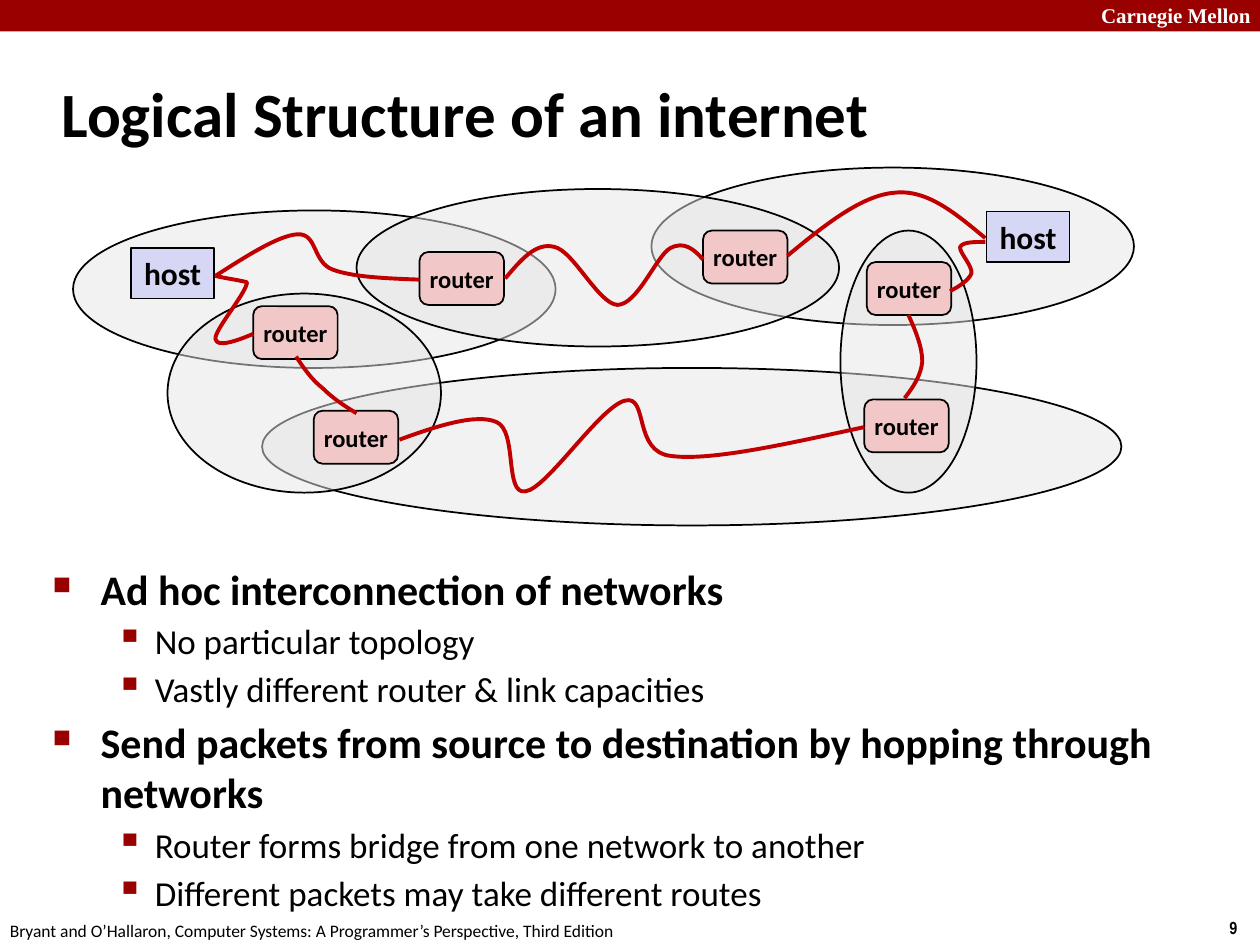
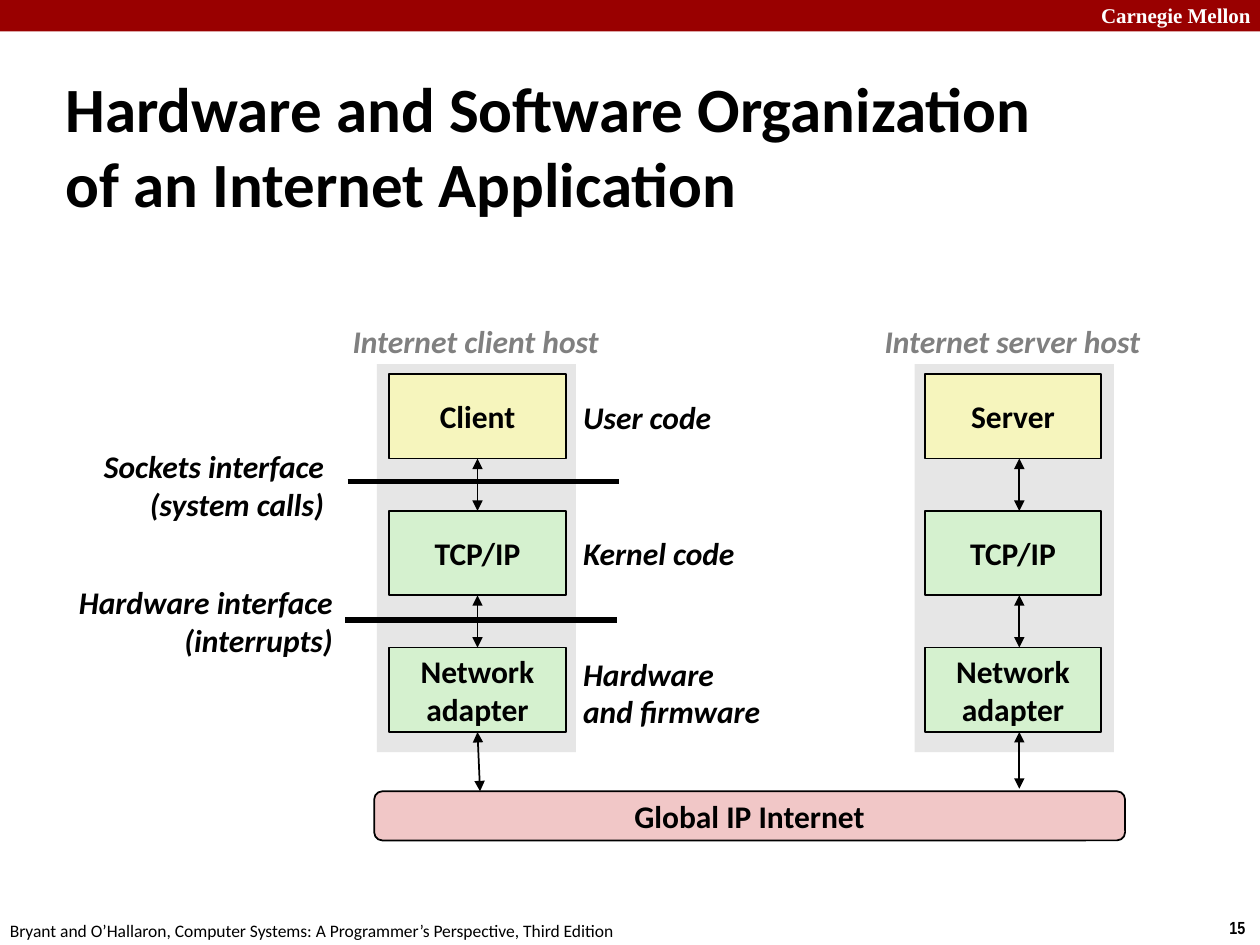
from lxml.etree import SubElement
from pptx import Presentation
from pptx.dml.color import RGBColor
from pptx.enum.shapes import MSO_CONNECTOR, MSO_SHAPE
from pptx.enum.text import MSO_ANCHOR, PP_ALIGN
from pptx.oxml.ns import qn
from pptx.util import Inches, Pt

COLORS = {
    "black": "000000", "white": "FFFFFF", "band": "990000", "gray": "E6E6E6",
    "caption": "808080", "router": "F1C7C7", "host": "D6D6F5", "route": "C00000",
    "user": "F6F5BD", "kernel": "D5F1CF",
}

# Shared content
SCHOOL = "Carnegie Mellon"
FOOTER = ("Bryant and O’Hallaron, Computer Systems: "
          "A Programmer’s Perspective, Third Edition")

# Slide 1: networks, stations, routes and bullet points
NETWORKS = [
    (0.58, 1.67, 3.83, 1.25), (2.08, 2.92, 6.82, 1.25), (5.17, 1.33, 3.83, 1.25),
    (2.83, 1.5, 3.83, 1.25), (1.33, 2.33, 2.17, 1.58), (6.67, 1.83, 1.08, 2.08),
]
ROUTERS = [(2.01, 2.43), (2.49, 3.26), (3.33, 2), (5.58, 1.83), (6.86, 3.17), (6.88, 2.08)]
HOSTS = [(7.83, 1.68), (1.04, 1.97)]
# Each route is a start point followed by curves of two handles and an end point
ROUTES = [
    [(1.71, 2.19), (1.79, 2.21), (1.88, 2.22), (1.96, 2.24),
     (1.96, 2.32), (1.7, 2.62), (1.71, 2.69), (1.72, 2.76), (1.87, 2.71), (2.01, 2.65)],
    [(1.71, 2.19), (1.96, 2.03), (2.21, 1.87), (2.36, 1.86),
     (2.52, 1.85), (2.48, 2.08), (2.64, 2.14), (2.8, 2.2), (3.07, 2.21), (3.33, 2.22)],
    [(2.35, 2.83), (2.41, 2.92), (2.47, 3.01), (2.56, 3.08),
     (2.64, 3.16), (2.73, 3.22), (2.83, 3.28)],
    [(4.01, 2.21), (4.13, 2.07), (4.25, 1.92), (4.4, 1.96),
     (4.55, 1.99), (4.75, 2.41), (4.9, 2.42), (5.06, 2.42), (5.21, 2.03), (5.32, 1.97),
     (5.43, 1.91), (5.51, 1.98), (5.58, 2.06)],
    [(6.25, 2.03), (6.54, 1.79), (6.84, 1.55), (7.1, 1.53),
     (7.36, 1.5), (7.59, 1.7), (7.82, 1.89)],
    [(3.17, 3.49), (3.47, 3.38), (3.78, 3.28), (3.94, 3.35),
     (4.11, 3.42), (4, 3.93), (4.17, 3.9), (4.34, 3.88), (4.76, 3.23), (4.96, 3.18),
     (5.15, 3.13), (5.02, 3.59), (5.33, 3.62), (5.65, 3.66), (6.26, 3.52), (6.86, 3.39)],
    [(7.18, 3.16), (7.25, 3.07), (7.31, 2.98), (7.32, 2.87),
     (7.32, 2.76), (7.27, 2.63), (7.21, 2.5)],
    [(7.54, 2.31), (7.62, 2.27), (7.69, 2.22), (7.71, 2.17),
     (7.72, 2.11), (7.61, 2), (7.62, 1.96), (7.64, 1.92), (7.73, 1.92), (7.82, 1.92)],
]
POINTS = [
    (0, "Ad hoc interconnection of networks"),
    (1, "No particular topology"),
    (1, "Vastly different router & link capacities"),
    (0, "Send packets from source to destination by hopping through networks"),
    (1, "Router forms bridge from one network to another"),
    (1, "Different packets may take different routes"),
]
LEVELS = [
    {"size": 24, "bold": True, "left": 0.38, "hang": 0.38, "mark": "■", "percent": 60},
    {"size": 20, "bold": False, "left": 0.81, "hang": 0.31, "mark": "▪", "percent": 110},
]

# Slide 2: one stack of layers per host, with labels beside the first
STACKS = [
    {"program": "Client", "panel": 2.99, "box": 3.09, "arrow": 3.8, "joined": True,
     "foot": (3.81, 6.28)},
    {"program": "Server", "panel": 7.26, "box": 7.34, "arrow": 8.09, "joined": False,
     "foot": (8.09, 6.26)},
]
LAYERS = [(None, "user"), ("TCP/IP", "kernel"), ("Network\nadapter", "kernel")]
LAYER_TOP, LAYER_STEP, LAYER_WIDTH, LAYER_HEIGHT = 2.97, 1.085, 1.4, 0.67
LABELS = [
    ((2.68, 2.51, 2.19, 0.4), "Internet client host", PP_ALIGN.CENTER, "caption"),
    ((6.9, 2.51, 2.27, 0.4), "Internet server host", PP_ALIGN.CENTER, "caption"),
    ((0.7, 3.49, 1.97, 0.71), "Sockets interface\n(system calls)", PP_ALIGN.RIGHT, "black"),
    ((0.5, 4.57, 2.24, 0.71), "Hardware interface\n(interrupts)", PP_ALIGN.RIGHT, "black"),
    ((4.53, 3.11, 1.23, 0.4), "User code", PP_ALIGN.LEFT, "black"),
    ((4.53, 4.19, 1.42, 0.4), "Kernel code", PP_ALIGN.LEFT, "black"),
    ((4.53, 5.14, 1.63, 0.71), "Hardware\nand firmware", PP_ALIGN.LEFT, "black"),
]
INTERFACES = [((2.76, 3.82), (4.91, 3.82)), ((2.74, 4.92), (4.9, 4.92))]


def rgb(name):
    return RGBColor.from_string(COLORS[name])


def inches(values):
    return [Inches(value) for value in values]


# Text
def write_text(box, text, size=18, font="Calibri", color="black", bold=True, italic=False,
               align=PP_ALIGN.LEFT, anchor=MSO_ANCHOR.MIDDLE, wrap=False):
    frame = box.text_frame
    frame.word_wrap = wrap
    frame.vertical_anchor = anchor
    for index, line in enumerate(text.split("\n")):
        para = frame.add_paragraph() if index else frame.paragraphs[0]
        para.text = line
        para.alignment = align
        for span in para.runs:
            span.font.name, span.font.size = font, Pt(size)
            span.font.bold, span.font.italic = bold, italic
            span.font.color.rgb = rgb(color)
    return box


def add_text(page, at, text, **style):
    return write_text(page.shapes.add_textbox(*inches(at)), text, **style)


def add_bullets(page, at, points):
    text = "\n".join(line for level, line in points)
    box = add_text(page, at, text, anchor=MSO_ANCHOR.TOP, wrap=True)
    for index, (para, (level, line)) in enumerate(zip(box.text_frame.paragraphs, points)):
        look = LEVELS[level]
        para.level = level
        props = para._p.get_or_add_pPr()
        props.set("marL", str(Inches(look["left"])))
        props.set("indent", str(-Inches(look["hang"])))
        tint = SubElement(props, qn("a:buClr"))
        SubElement(tint, qn("a:srgbClr"), val=COLORS["band"])
        SubElement(props, qn("a:buSzPct"), val=str(look["percent"] * 1000))
        SubElement(props, qn("a:buChar"), char=look["mark"])
        if index:
            para.space_before = Pt(round(0.17 * look["size"], 1))
        for span in para.runs:
            span.font.size, span.font.bold = Pt(look["size"]), look["bold"]


# Shapes and lines
def add_box(page, kind, at, fill, outlined=True, text=None, size=18):
    box = page.shapes.add_shape(kind, *inches(at))
    box.shadow.inherit = False
    box.fill.solid()
    box.fill.fore_color.rgb = rgb(fill)
    if outlined:
        box.line.color.rgb = rgb("black")
        box.line.width = Pt(1)
    else:
        box.line.fill.background()
    if text:
        write_text(box, text, size=size, align=PP_ALIGN.CENTER)
    return box


def add_network(page, at):
    ellipse = add_box(page, MSO_SHAPE.OVAL, at, "gray")
    shade = ellipse._element.spPr.find(qn("a:solidFill"))[0]
    SubElement(shade, qn("a:alpha"), val="50000")


def add_route(page, points):
    spots = [inches(point) for point in points]
    builder = page.shapes.build_freeform(*spots[0])
    builder.add_line_segments(spots[1:], close=False)
    route = builder.convert_to_shape()
    route.shadow.inherit = False
    route.fill.background()
    route.line.color.rgb = rgb("route")
    route.line.width = Pt(2.25)
    # Turn every three straight segments into one curve
    outline = next(route._element.iter(qn("a:path")))
    segments = outline.findall(qn("a:lnTo"))
    for first in range(0, len(segments), 3):
        curve = SubElement(outline, qn("a:cubicBezTo"))
        for segment in segments[first:first + 3]:
            curve.append(segment[0])
            outline.remove(segment)


def add_line(page, start, end, width=1, arrows=False):
    line = page.shapes.add_connector(MSO_CONNECTOR.STRAIGHT, *inches(start + end))
    line.line.color.rgb = rgb("black")
    line.line.width = Pt(width)
    if arrows:
        stroke = line.line._get_or_add_ln()
        for tip in ("a:headEnd", "a:tailEnd"):
            SubElement(stroke, qn(tip), type="triangle")
    SubElement(line._element.spPr, qn("a:effectLst"))
    return line


# Pages
def add_page(deck, number, title, title_at):
    page = deck.slides.add_slide(deck.slide_layouts[6])
    add_box(page, MSO_SHAPE.RECTANGLE, (0, 0, 10, 0.25), "band", outlined=False)
    top = MSO_ANCHOR.TOP
    add_text(page, (8.64, -0.03, 1.43, 0.3), SCHOOL, size=12, font="Times New Roman",
             color="white", anchor=top)
    add_text(page, (9.66, 7.23, 0.34, 0.27), number, size=10, font="Arial Narrow", anchor=top)
    add_text(page, (-0.02, 7.25, 5.08, 0.27), FOOTER, size=10, bold=False, anchor=top)
    add_text(page, title_at, title, size=36, wrap=True)
    return page


def build_internet(deck):
    page = add_page(deck, "9", "Logical Structure of an internet", (0.39, 0.48, 8.3, 0.83))
    add_bullets(page, (0.32, 4.42, 9.09, 2.3), POINTS)
    for at in NETWORKS:
        add_network(page, at)
    for spot in ROUTERS:
        add_box(page, MSO_SHAPE.ROUNDED_RECTANGLE, spot + (0.67, 0.42), "router",
                text="router", size=14)
    for spot in HOSTS:
        add_box(page, MSO_SHAPE.RECTANGLE, spot + (0.66, 0.4), "host", text="host")
    for points in ROUTES:
        add_route(page, points)


def add_stack(page, stack):
    add_box(page, MSO_SHAPE.RECTANGLE, (stack["panel"], 2.89, 1.58, 3.08), "gray",
            outlined=False)
    tops = [LAYER_TOP + LAYER_STEP * index for index in range(len(LAYERS))]
    boxes = [
        add_box(page, MSO_SHAPE.RECTANGLE, (stack["box"], top, LAYER_WIDTH, LAYER_HEIGHT),
                fill, text=text or stack["program"])
        for top, (text, fill) in zip(tops, LAYERS)
    ]
    ends = [(stack["arrow"], top) for top in tops[1:]] + [stack["foot"]]
    for index, (top, end) in enumerate(zip(tops, ends)):
        start = (stack["arrow"], top + LAYER_HEIGHT)
        arrow = add_line(page, start, end, arrows=True)
        if stack["joined"]:
            arrow.begin_connect(boxes[index], 2)
            if index + 1 < len(boxes):
                arrow.end_connect(boxes[index + 1], 0)


def build_application(deck):
    page = add_page(deck, "15",
                    "Hardware and Software Organization\vof an Internet Application",
                    (0.42, 0.55, 8.89, 1.2))
    for stack in STACKS:
        add_stack(page, stack)
    add_box(page, MSO_SHAPE.ROUNDED_RECTANGLE, (2.97, 6.28, 5.96, 0.39), "router",
            text="Global IP Internet")
    for at, text, align, color in LABELS:
        add_text(page, at, text, align=align, color=color, italic=True)
    for start, end in INTERFACES:
        add_line(page, start, end, width=3)


def main():
    deck = Presentation()
    deck.slide_width, deck.slide_height = Inches(10), Inches(7.5)
    build_internet(deck)
    build_application(deck)
    deck.save("out.pptx")


if __name__ == "__main__":
    main()
